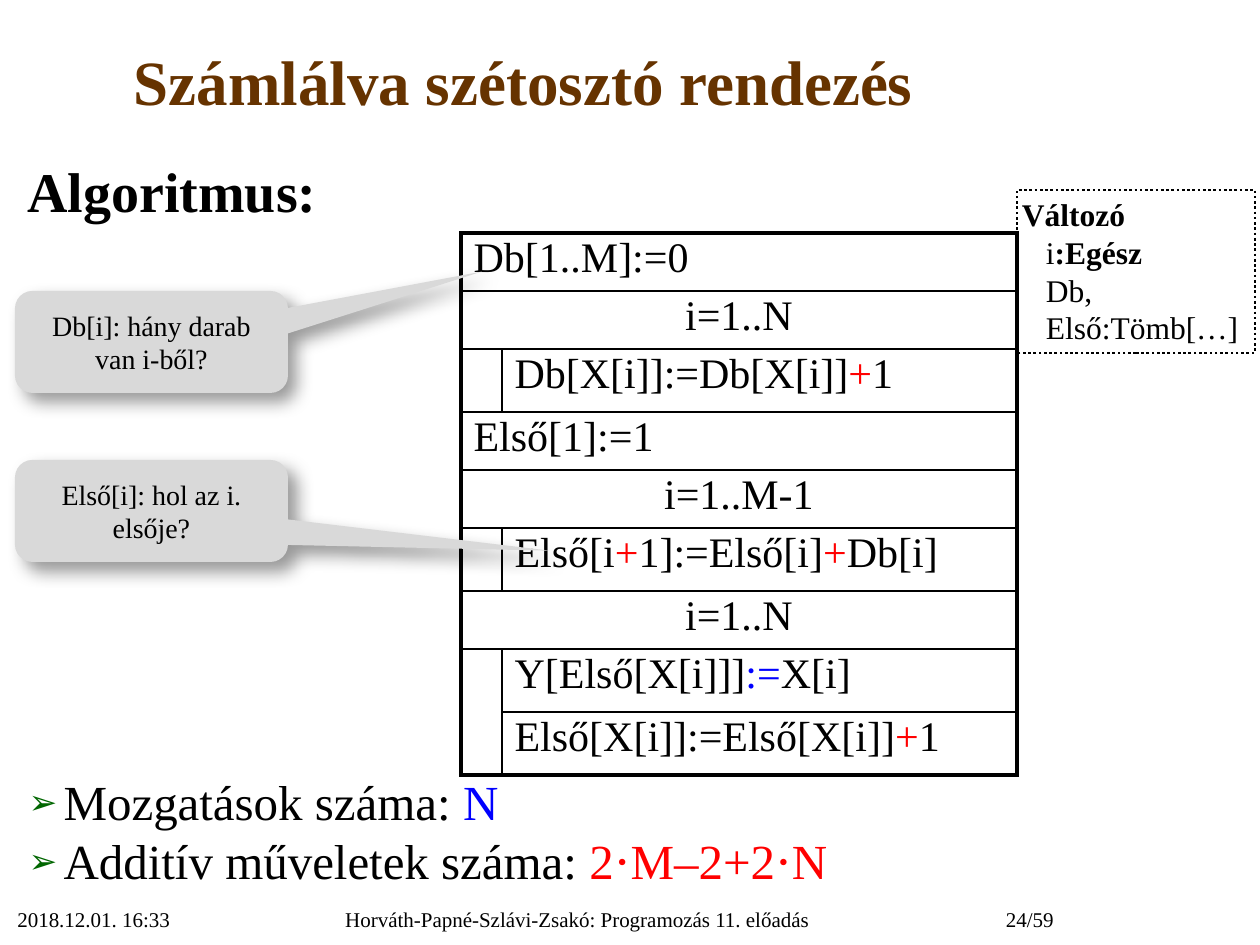
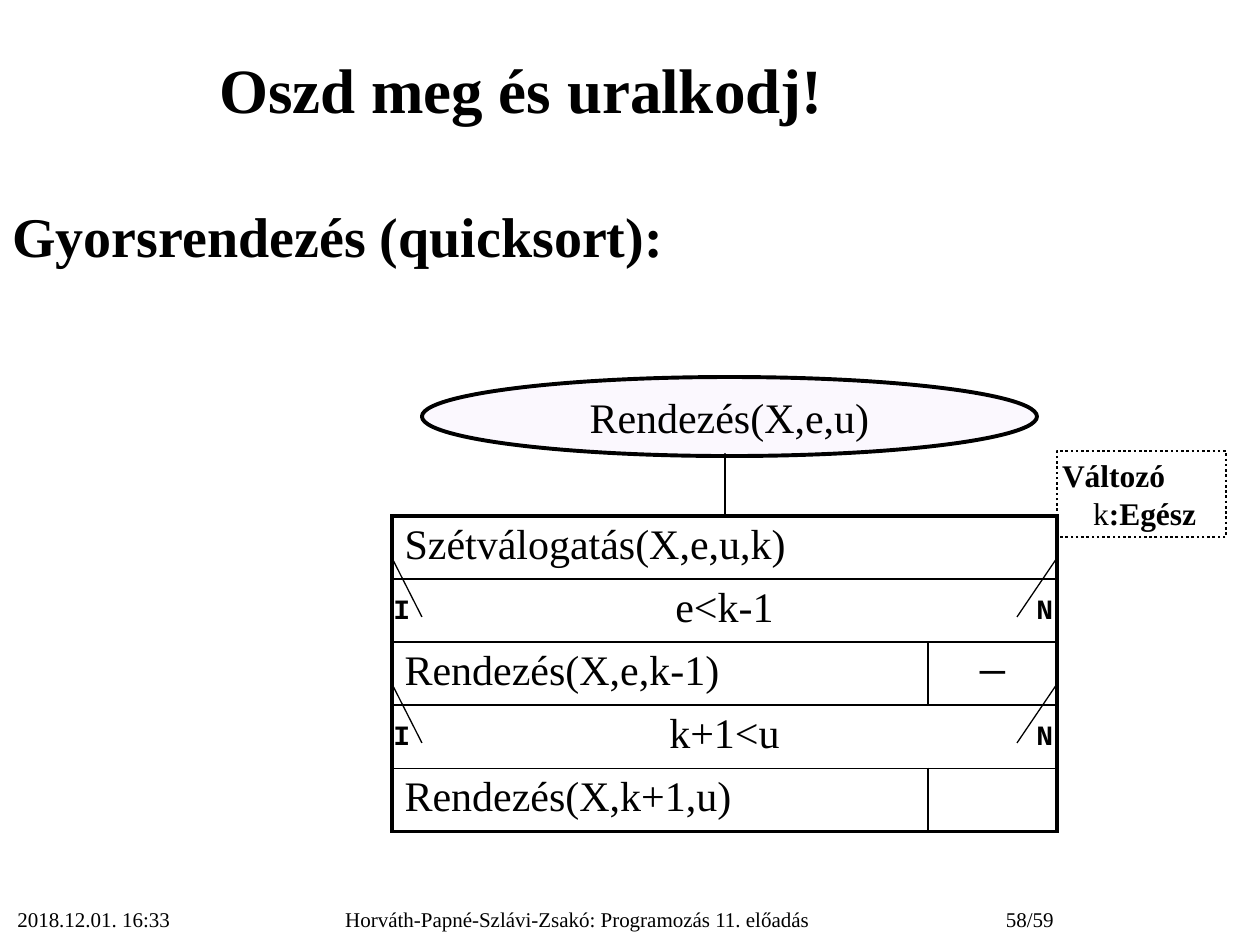
"""Build two lecture slides on sorting algorithms."""
from typing import NamedTuple, Optional

from lxml.etree import SubElement
from pptx import Presentation
from pptx.dml.color import RGBColor
from pptx.enum.dml import MSO_LINE
from pptx.enum.shapes import MSO_CONNECTOR, MSO_SHAPE
from pptx.enum.text import MSO_ANCHOR, MSO_AUTO_SIZE, PP_ALIGN
from pptx.oxml.ns import qn
from pptx.util import Emu, Pt

PX = 914400 / 126
BLACK = RGBColor(0x00, 0x00, 0x00)
WHITE = RGBColor(0xFF, 0xFF, 0xFF)
BROWN = RGBColor(0x66, 0x33, 0x00)
RED = RGBColor(0xFF, 0x00, 0x00)
BLUE = RGBColor(0x00, 0x00, 0xFF)
GREEN = RGBColor(0x00, 0x66, 0x00)
GREY = RGBColor(0xD9, 0xD9, 0xD9)
LILAC = RGBColor(0xF3, 0xE8, 0xFE)
SERIF, MONO = "Times New Roman", "Courier New"
LEFT, CENTER, RIGHT = PP_ALIGN.LEFT, PP_ALIGN.CENTER, PP_ALIGN.RIGHT
NO_STYLE = "{2D5ABB26-0587-4C30-8999-92F81FD0307C}"
THICK, THIN = 2.25, 1
SIDES = {"l": "a:lnL", "r": "a:lnR", "t": "a:lnT", "b": "a:lnB"}


class Box(NamedTuple):
    left: int
    top: int
    width: int
    height: int


class Run(NamedTuple):
    text: str
    color: Optional[RGBColor] = None
    bold: Optional[bool] = None


class Style(NamedTuple):
    size: int
    align: PP_ALIGN = LEFT
    bold: bool = False
    color: RGBColor = BLACK
    font: str = SERIF
    spacing: float = 1.0


class Step(NamedTuple):
    row: int
    col: int
    span: int
    runs: tuple = ()
    edges: str = "lrtb"
    align: PP_ALIGN = LEFT
    font: str = SERIF


class Callout(NamedTuple):
    top: int
    text: str
    tip_x: float
    tip_y: float


PLUS = Run("+", RED)
FOOTERS = (
    (Box(5, 900, 262, 49), "2018.12.01. 16:33", LEFT),
    (Box(267, 900, 621, 45), "Horváth-Papné-Szlávi-Zsakó: Programozás 11. előadás", CENTER),
)
PAGE_NUMBER = Box(906, 900, 160, 49)
COUNTING_STEPS = (
    Step(0, 0, 2, (Run("Db[1..M]:=0"),)),
    Step(1, 0, 2, (Run("i=1..N"),), "lrt", CENTER),
    Step(2, 1, 1, (Run("Db[X[i]]:=Db[X[i]]"), PLUS, Run("1"))),
    Step(3, 0, 2, (Run("Első[1]:=1"),)),
    Step(4, 0, 2, (Run("i=1..M-1"),), "lrt", CENTER),
    Step(5, 1, 1, (Run("Első[i"), PLUS, Run("1]:=Első[i]"), PLUS, Run("Db[i]"))),
    Step(6, 0, 2, (Run("i=1..N"),), "lrt", CENTER),
    Step(7, 1, 1, (Run("Y[Első[X[i]]]"), Run(":=", BLUE), Run("X[i]"))),
    Step(8, 1, 1, (Run("Első[X[i]]:=Első[X[i]]"), PLUS, Run("1"))),
    Step(2, 0, 1, edges="lrb"),
    Step(5, 0, 1, edges="lrb"),
    Step(7, 0, 1, edges="lr"),
    Step(8, 0, 1, edges="lrb"),
)
QUICKSORT_STEPS = (
    Step(0, 0, 1, edges="r"),
    Step(0, 1, 2, edges=""),
    Step(1, 0, 3, (Run("Szétválogatás(X,e,u,k)"),)),
    Step(2, 0, 3, (Run("e<k-1"),), align=CENTER),
    Step(3, 0, 2, (Run("Rendezés(X,e,k-1)"),)),
    Step(3, 2, 1, (Run("―"),), align=CENTER, font=MONO),
    Step(4, 0, 3, (Run("k+1<u"),), align=CENTER),
    Step(5, 0, 2, (Run("Rendezés(X,k+1,u)"),)),
    Step(5, 2, 1),
)
COSTS = (
    (Run("Mozgatások száma: "), Run("N", BLUE)),
    (Run("Additív műveletek száma: "), Run("2⋅M–2+2⋅N", RED)),
)
CALLOUTS = (
    Callout(291, "Db[i]: hány darab van i-ből?", 1.21, -0.69),
    Callout(460, "Első[i]: hol az i. elsője?", 1.46, 0.39),
)


def px(length: int) -> Emu:
    return Emu(round(length * PX))


def place(shape, box: Box) -> None:
    shape.left, shape.top, shape.width, shape.height = map(px, box)


def write(paragraph, runs: tuple, style: Style) -> None:
    paragraph.alignment = style.align
    paragraph.line_spacing = style.spacing
    font = paragraph.font
    font.name, font.size, font.bold = style.font, Pt(style.size), style.bold
    font.color.rgb = style.color
    for part in runs:
        run = paragraph.add_run()
        run.text = part.text
        if part.bold is not None:
            run.font.bold = part.bold
        if part.color is not None:
            run.font.color.rgb = part.color


def add_text(slide, box: Box, text: str, style: Style) -> None:
    frame = slide.shapes.add_textbox(*map(px, box)).text_frame
    frame.word_wrap = True
    write(frame.paragraphs[0], (Run(text),), style)


def start_slide(deck, layout: int, title: str, title_box: Box, color: RGBColor, page: str):
    slide = deck.slides.add_slide(deck.slide_layouts[layout])
    heading = slide.shapes.title
    place(heading, title_box)
    heading.text_frame.auto_size = MSO_AUTO_SIZE.NONE
    heading.text_frame.vertical_anchor = MSO_ANCHOR.MIDDLE
    write(heading.text_frame.paragraphs[0], (Run(title),), Style(36, CENTER, True, color))
    for box, text, align in FOOTERS + ((PAGE_NUMBER, page, RIGHT),):
        add_text(slide, box, text, Style(12, align))
    return slide


def add_edge(cell, side: str, width: float) -> None:
    edge = SubElement(cell._tc.get_or_add_tcPr(), qn(SIDES[side]), w=str(Pt(width)))
    paint = SubElement(edge, qn("a:solidFill"))
    SubElement(paint, qn("a:srgbClr"), val=str(BLACK))


def add_structogram(slide, left: int, top: int, widths: list, heights: list,
                    steps: tuple, spacing: float, fill: Optional[RGBColor], first: int) -> None:
    box = Box(left, top, sum(widths), sum(heights))
    table = slide.shapes.add_table(len(heights), len(widths), *map(px, box)).table
    table.first_row = table.horz_banding = False
    table._tbl.tblPr[0].text = NO_STYLE
    for column, width in zip(table.columns, widths):
        column.width = px(width)
    for row, height in zip(table.rows, heights):
        row.height = px(height)
    for step in steps:
        cell = table.cell(step.row, step.col)
        end = step.col + step.span
        if step.span > 1:
            cell.merge(table.cell(step.row, end - 1))
        outer = {"l": step.col == 0, "r": end == len(widths),
                 "t": step.row == first, "b": step.row == len(heights) - 1}
        for side in SIDES:
            if side in step.edges:
                add_edge(cell, side, THICK if outer[side] else THIN)
        write(cell.text_frame.paragraphs[0], step.runs,
              Style(24, step.align, font=step.font, spacing=spacing))
    for cell in table.iter_cells():
        if fill is None:
            cell.fill.background()
        else:
            cell.fill.solid()
            cell.fill.fore_color.rgb = fill


def add_preset(slide, preset: MSO_SHAPE, box: Box, fill: Optional[RGBColor], line: float):
    shape = slide.shapes.add_shape(preset, *map(px, box))
    shape.shadow.inherit = False
    if fill is None:
        shape.fill.background()
    else:
        shape.fill.solid()
        shape.fill.fore_color.rgb = fill
    if line:
        shape.line.color.rgb = BLACK
        shape.line.width = Pt(line)
    else:
        shape.line.fill.background()
    return shape


def add_variables(slide, box: Box, indent: int, declarations: tuple) -> None:
    panel = add_preset(slide, MSO_SHAPE.RECTANGLE, box, None, 1.5)
    panel.line.dash_style = MSO_LINE.ROUND_DOT
    frame = panel.text_frame
    frame.vertical_anchor = MSO_ANCHOR.TOP
    frame.margin_left = frame.margin_right = frame.margin_top = frame.margin_bottom = px(5)
    write(frame.paragraphs[0], (Run("Változó", bold=True),), Style(18))
    for runs in declarations:
        paragraph = frame.add_paragraph()
        paragraph._p.get_or_add_pPr().set("marL", str(px(indent)))
        write(paragraph, runs, Style(18))


def add_callout(slide, callout: Callout) -> None:
    bubble = add_preset(slide, MSO_SHAPE.ROUNDED_RECTANGULAR_CALLOUT,
                        Box(15, callout.top, 273, 102), GREY, 0)
    for index, value in enumerate((callout.tip_x, callout.tip_y, 0.17)):
        bubble.adjustments[index] = value
    effects = bubble._element.spPr.find(qn("a:effectLst"))
    shadow = SubElement(effects, qn("a:outerShdw"), blurRad=str(Pt(10)), dist=str(Pt(7)),
                        dir="2700000", algn="tl", rotWithShape="0")
    tint = SubElement(shadow, qn("a:srgbClr"), val=str(BLACK))
    SubElement(tint, qn("a:alpha"), val="40000")
    bubble.text_frame.word_wrap = True
    bubble.text_frame.vertical_anchor = MSO_ANCHOR.MIDDLE
    write(bubble.text_frame.paragraphs[0], (Run(callout.text),), Style(16, CENTER))


def add_costs(body) -> None:
    place(body, Box(15, 770, 1221, 139))
    frame = body.text_frame
    frame.auto_size = MSO_AUTO_SIZE.NONE
    for index, runs in enumerate(COSTS):
        paragraph = frame.add_paragraph() if index else frame.paragraphs[0]
        paragraph.space_before = Pt(1.4 if index else 0)
        properties = paragraph._p.get_or_add_pPr()
        properties.set("marL", str(px(36)))
        properties.set("indent", str(px(-35)))
        tint = SubElement(properties, qn("a:buClr"))
        SubElement(tint, qn("a:srgbClr"), val=str(GREEN))
        SubElement(properties, qn("a:buSzPct"), val="70000")
        SubElement(properties, qn("a:buChar"), char="➢")
        write(paragraph, runs, Style(28, spacing=0.95))


def add_line(slide, x1: int, y1: int, x2: int, y2: int) -> None:
    line = slide.shapes.add_connector(MSO_CONNECTOR.STRAIGHT, *map(px, (x1, y1, x2, y2)))
    line.line.color.rgb = BLACK
    line.line.width = Pt(0.75)
    SubElement(line._element.spPr, qn("a:effectLst"))


def add_branch(slide, top: int) -> None:
    for label, label_left, outer, inner in (("N", 1024, 1057, 1017), ("I", 381, 392, 422)):
        add_line(slide, outer, top, inner, top + 59)
        add_text(slide, Box(label_left, top + 27, 40, 38), label,
                 Style(16, bold=True, font=MONO))


def build_counting(deck) -> None:
    slide = start_slide(deck, 1, "Számlálva szétosztó rendezés", Box(5, 3, 1037, 154),
                        BROWN, "24/59")
    add_costs(slide.placeholders[1])
    add_structogram(slide, 461, 233, [41, 515], [58, 58, 59, 58, 58, 59, 58, 59, 62],
                    COUNTING_STEPS, 0.9, WHITE, 0)
    add_text(slide, Box(15, 155, 1221, 108), "Algoritmus:", Style(32, bold=True, spacing=0.95))
    add_variables(slide, Box(1017, 190, 238, 163), 24, (
        (Run("i"), Run(":Egész", bold=True)), (Run("Db,"),), (Run("Első:Tömb[…]"),)))
    for callout in CALLOUTS:
        add_callout(slide, callout)


def build_quicksort(deck) -> None:
    slide = start_slide(deck, 5, "Oszd meg és uralkodj!", Box(5, 11, 1032, 154),
                        BLACK, "58/59")
    add_text(slide, Box(0, 195, 1235, 81), "Gyorsrendezés (quicksort):", Style(32, bold=True))
    add_structogram(slide, 392, 453, [333, 203, 129], [63] * 6, QUICKSORT_STEPS, 1.0, None, 1)
    procedure = add_preset(slide, MSO_SHAPE.OVAL, Box(422, 377, 615, 79), LILAC, THICK)
    tint = procedure._element.spPr.find(qn("a:solidFill"))[0]
    SubElement(tint, qn("a:alpha"), val="30000")
    procedure.text_frame.word_wrap = False
    procedure.text_frame.vertical_anchor = MSO_ANCHOR.MIDDLE
    write(procedure.text_frame.paragraphs[0], (Run("Rendezés(X,e,u)"),), Style(24, CENTER))
    for top in (558, 684):
        add_branch(slide, top)
    add_variables(slide, Box(1057, 451, 169, 86), 31, ((Run("k"), Run(":Egész", bold=True)),))


def main() -> None:
    deck = Presentation()
    deck.slide_width, deck.slide_height = px(1260), px(945)
    build_counting(deck)
    build_quicksort(deck)
    deck.save("out.pptx")


if __name__ == "__main__":
    main()
